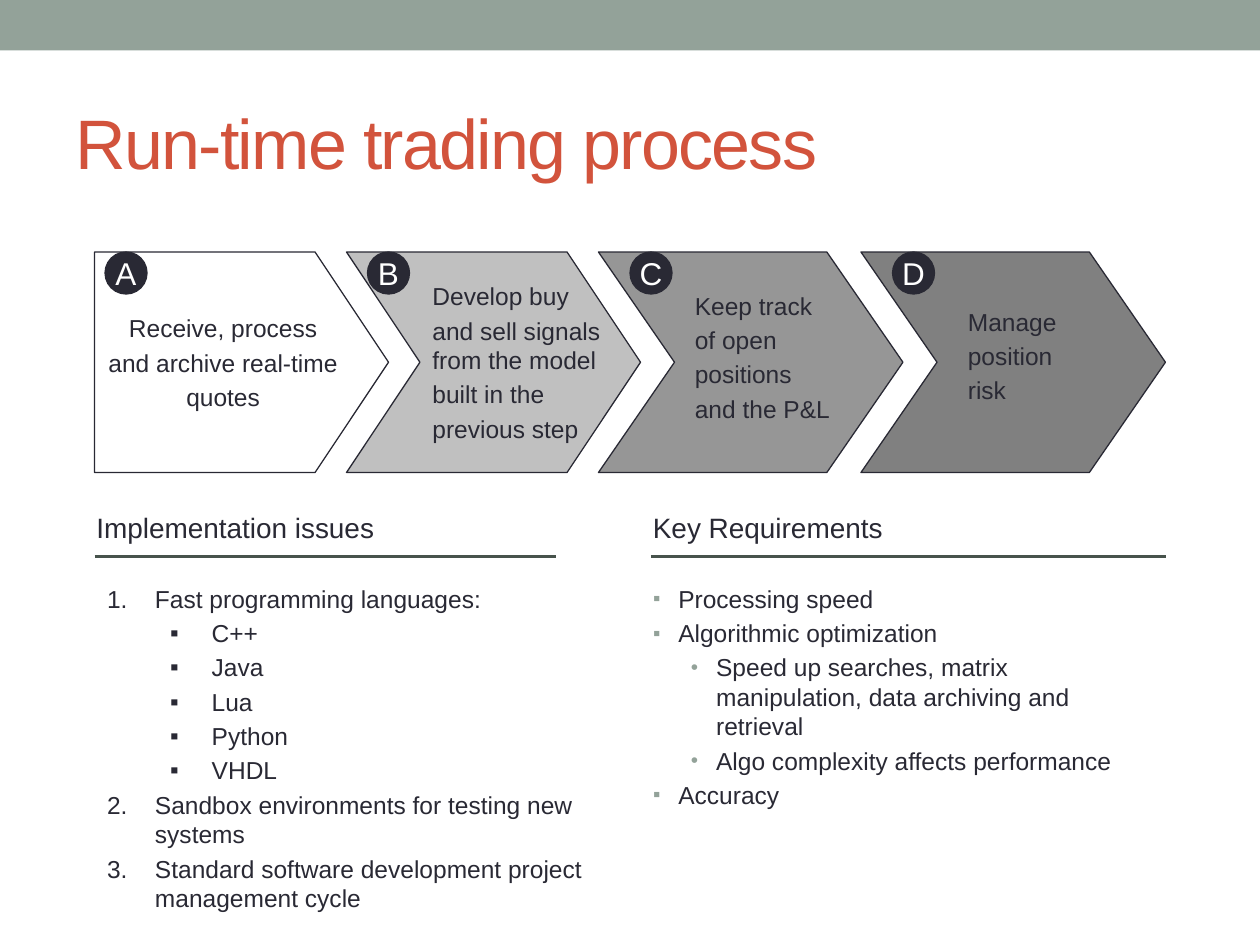
from pptx import Presentation, util as u
from pptx.dml.color import RGBColor
from pptx.enum import shapes, text
from pptx.oxml import parse_xml
from pptx.oxml.ns import nsdecls

INK = RGBColor(0x29, 0x29, 0x34)
WHITE = RGBColor(0xFF, 0xFF, 0xFF)
SAGE = RGBColor(0x93, 0xA2, 0x99)
RUST = RGBColor(0xD2, 0x53, 0x3C)
RULE = RGBColor(0x47, 0x53, 0x4C)
GREYS = [RGBColor(v, v, v) for v in (0xC0, 0x96, 0x80)]
FONT = "Arial"
CELLS_PER_INCH = 12
STEP_ROW, STEP_ROWS = 24, 21
BADGE_COL, BADGE_PITCH, BADGE_SIZE = 10, 25, 4
HEADING_ROW, RULE_ROW, LIST_ROW = 48, 53, 55

CHEVRONS = [(33, 28, 0.333), (57, 29, 0.345), (82, 29, 0.345)]
STEP_TEXTS = [
    ((40, 26.2, 20, 16.8), ["Develop buy", "and sell signals from the model",
                            "built in the", "previous step"]),
    ((65, 27.1, 17, 14), ["Keep track", "of open", "positions", "and the P&L"]),
    ((91, 28.6, 13, 10.7), ["Manage", "position", "risk"]),
]
ISSUES = [
    (0, "Fast programming languages:"),
    (1, "C++"), (1, "Java"), (1, "Lua"), (1, "Python"), (1, "VHDL"),
    (0, "Sandbox environments for testing new systems"),
    (0, "Standard software development project management cycle"),
]
REQUIREMENTS = [
    (0, "Processing speed"),
    (0, "Algorithmic optimization"),
    (1, "Speed up searches, matrix manipulation, data archiving and retrieval"),
    (1, "Algo complexity affects performance"),
    (0, "Accuracy"),
]
SQUARE = '<a:buChar {} char="▪"/>'
DOT = '<a:buChar {} char="•"/>'
NUMBER = '<a:buAutoNum {} type="arabicPeriod"/>'
TINT = [f'<a:buClr {{}}><a:srgbClr val="{SAGE}"/></a:buClr>', '<a:buSzPct {} val="85000"/>']
BULLET_FONT = '<a:buFont {} typeface="Arial"/>'
ISSUE_LEVELS = [(0.38, 0.38, [BULLET_FONT, NUMBER]), (0.83, 0.33, [BULLET_FONT, SQUARE])]
REQUIREMENT_LEVELS = [(0.2, 0.2, TINT + [BULLET_FONT, SQUARE]),
                      (0.5, 0.2, TINT + [BULLET_FONT, DOT])]


def cells(*counts):
    return [u.Inches(count / CELLS_PER_INCH) for count in counts]


def write(frame, lines, size, color=INK, align=text.PP_ALIGN.LEFT, gap=0.0):
    frame.text = "\n".join(lines)
    for paragraph in frame.paragraphs:
        paragraph.alignment = align
        paragraph.space_before = u.Pt(size * gap)
        font = paragraph.runs[0].font
        font.name, font.size, font.color.rgb = FONT, u.Pt(size), color


def add_panel(slide, preset, box, fill, outline=INK, adjustment=None):
    panel = slide.shapes.add_shape(preset, *cells(*box))
    panel.shadow.inherit = False
    panel.fill.solid()
    panel.fill.fore_color.rgb = fill
    if outline is None:
        panel.line.fill.background()
    else:
        panel.line.color.rgb = outline
        panel.line.width = u.Pt(0.75)
    if adjustment is not None:
        panel.adjustments[0] = adjustment
    return panel


def add_words(slide, box, lines, size, wrap=True, gap=0.0):
    frame = slide.shapes.add_textbox(*cells(*box)).text_frame
    frame.word_wrap = wrap
    frame.auto_size = text.MSO_AUTO_SIZE.SHAPE_TO_FIT_TEXT
    write(frame, lines, size, gap=gap)


def add_badge(slide, index, letter):
    col = BADGE_COL + index * BADGE_PITCH
    badge = add_panel(slide, shapes.MSO_SHAPE.OVAL,
                      (col, STEP_ROW, BADGE_SIZE, BADGE_SIZE), INK)
    frame = badge.text_frame
    frame.word_wrap = False
    frame.vertical_anchor = text.MSO_ANCHOR.MIDDLE
    write(frame, [letter], 18, WHITE, text.PP_ALIGN.CENTER)


def add_heading(slide, label, col, width, rule_start, rule_end):
    rule = slide.shapes.add_connector(shapes.MSO_CONNECTOR.STRAIGHT,
                                      *cells(rule_start, RULE_ROW, rule_end, RULE_ROW))
    rule.line.color.rgb = RULE
    rule.line.width = u.Pt(2.25)
    rule._element.spPr.append(parse_xml(f'<a:effectLst {nsdecls("a")}/>'))
    add_words(slide, (col, HEADING_ROW, width, 4.4), [label], 16, wrap=False)


def place(placeholder, box, anchor):
    placeholder.left, placeholder.top, placeholder.width, placeholder.height = cells(*box)
    frame = placeholder.text_frame
    frame.word_wrap = True
    frame.auto_size = text.MSO_AUTO_SIZE.NONE
    frame.vertical_anchor = anchor
    return frame


def fill_title(title):
    frame = place(title, (6, 7, 108, 13), text.MSO_ANCHOR.MIDDLE)
    write(frame, ["Run-time trading process"], 40, RUST)
    frame.paragraphs[0].runs[0].font._element.set("spc", "-100")


def fill_list(body, box, items, levels):
    frame = place(body, box, text.MSO_ANCHOR.TOP)
    write(frame, [label for _, label in items], 14, gap=0.2)
    for paragraph, (level, _) in zip(frame.paragraphs, items):
        paragraph.level = level
        margin, hanging, marks = levels[level]
        properties = paragraph._p.get_or_add_pPr()
        properties.set("marL", str(u.Inches(margin)))
        properties.set("indent", str(-u.Inches(hanging)))
        for mark in marks:
            properties.append(parse_xml(mark.format(nsdecls("a"))))


def add_process(slide):
    first = add_panel(slide, shapes.MSO_SHAPE.PENTAGON,
                      (9, STEP_ROW, 28, STEP_ROWS), WHITE, adjustment=0.333)
    frame = first.text_frame
    frame.margin_left = frame.margin_right = u.Inches(0.05)
    frame.vertical_anchor = text.MSO_ANCHOR.MIDDLE
    write(frame, ["Receive, process", "and archive real-time", "quotes"], 14,
          align=text.PP_ALIGN.CENTER, gap=0.2)
    for (col, width, adjustment), grey in zip(CHEVRONS, GREYS):
        add_panel(slide, shapes.MSO_SHAPE.CHEVRON,
                  (col, STEP_ROW, width, STEP_ROWS), grey, adjustment=adjustment)
    for box, lines in STEP_TEXTS:
        add_words(slide, box, lines, 14, gap=0.2)
    for index, letter in enumerate("ABCD"):
        add_badge(slide, index, letter)


def main():
    deck = Presentation()
    deck.slide_width, deck.slide_height = u.Inches(10), u.Inches(7.5)
    slide = deck.slides.add_slide(deck.slide_layouts[3])
    title, issues, requirements = list(slide.placeholders)[:3]
    add_panel(slide, shapes.MSO_SHAPE.RECTANGLE, (0, 0, 120, 4.8), SAGE, outline=None)
    fill_title(title)
    fill_list(requirements, (61, LIST_ROW, 50, 21), REQUIREMENTS, REQUIREMENT_LEVELS)
    fill_list(issues, (9, LIST_ROW, 50, 22), ISSUES, ISSUE_LEVELS)
    add_heading(slide, "Key Requirements", 61, 24.4, 62, 111)
    add_heading(slide, "Implementation issues", 8, 29, 9, 53)
    add_process(slide)
    deck.save("out.pptx")


if __name__ == "__main__":
    main()
